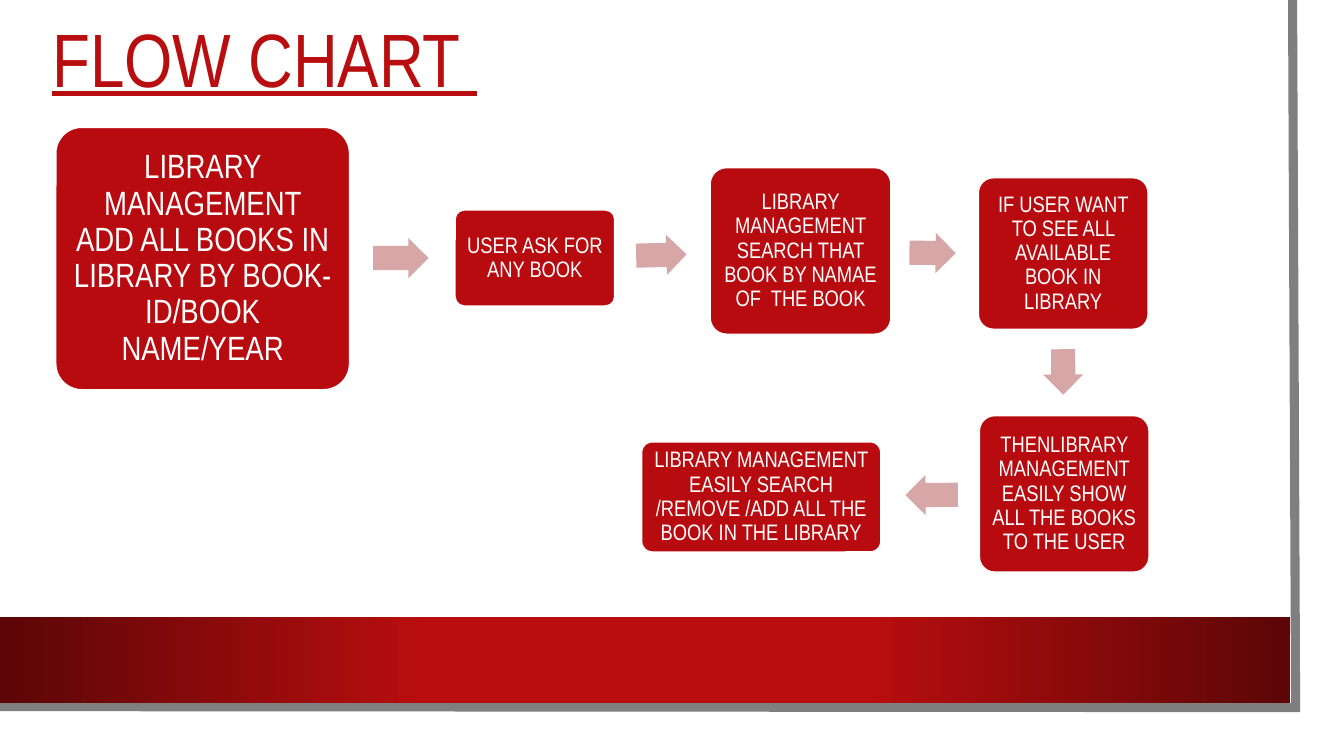
from lxml import etree
from pptx import Presentation
from pptx.dml.color import RGBColor
from pptx.enum.shapes import MSO_SHAPE
from pptx.enum.text import MSO_ANCHOR, PP_ALIGN
from pptx.oxml.ns import qn
from pptx.util import Emu, Pt

# Content: lengths in px, 100 px to the inch
FONT = "Arial Narrow"
COLORS = {"title": "B80E0F", "box": "B80B0F", "arrow": "D7A7A8", "white": "FFFFFF",
          "frame": "7F7F7F", "band": "B80E0F", "band_edge": "5C0607"}
TITLE = ("FLOW CHART ", (42, 0, 1137, 126), 54)
FRAME = [(1282, 0), (1285, 702), (-3, 701)]
BAND = (0, 612, 1280, 85)
BAND_STOPS = [(0, "band_edge"), (33, "band"), (67, "band"), (100, "band_edge")]

# Text, place, font size, inset
STEPS = [
    ("LIBRARY MANAGEMENT ADD ALL BOOKS IN LIBRARY BY BOOK-ID/BOOK NAME/YEAR",
     (55, 126, 292, 261), 24, 10),
    ("USER ASK FOR ANY BOOK", (451, 208, 159, 96), 16, 7),
    ("LIBRARY MANAGEMENT SEARCH THAT BOOK BY NAMAE OF  THE BOOK",
     (704, 166, 180, 166), 16, 7),
    ("IF USER WANT TO SEE ALL AVAILABLE BOOK IN LIBRARY",
     (970, 176, 169, 151), 16, 7),
    ("THENLIBRARY MANAGEMENT EASILY SHOW ALL THE BOOKS TO THE USER",
     (971, 412, 169, 156), 16, 7),
    ("LIBRARY MANAGEMENT EASILY SEARCH /REMOVE /ADD ALL THE BOOK IN THE LIBRARY",
     (636, 438, 238, 110), 16, 7),
]
# Left, top, width, rotation
ARROWS = [(370, 236, 55, 359.9), (631, 233, 50, 358.5), (902, 231, 46, 0.7),
          (1032, 349, 45, 89.7), (898, 471, 52, 179.6)]
ARROW_HEIGHT = 40


def px(length):
    return Emu(length * 9144)


def color(name):
    return RGBColor.from_string(COLORS[name])


def add_preset(kind, place, fill):
    shape = page.shapes.add_shape(kind, *map(px, place))
    shape.shadow.inherit = False
    shape.fill.solid()
    shape.fill.fore_color.rgb = color(fill)
    shape.line.fill.background()
    return shape


def set_text(shape, text, size, ink, align, inset_x, inset_y):
    frame = shape.text_frame
    frame.text = text
    frame.word_wrap = True
    frame.vertical_anchor = MSO_ANCHOR.MIDDLE
    frame.margin_left = frame.margin_right = px(inset_x)
    frame.margin_top = frame.margin_bottom = px(inset_y)
    para = frame.paragraphs[0]
    para.alignment = align
    para.line_spacing = 0.9
    span = para.runs[0]
    span.font.name = FONT
    span.font.size = Pt(size)
    span.font.color.rgb = color(ink)
    return span


deck = Presentation()
deck.slide_width, deck.slide_height = px(1333), px(750)
page = deck.slides.add_slide(deck.slide_layouts[6])

# Grey frame along the right and bottom edges
builder = page.shapes.build_freeform(*FRAME[0], scale=9144)
builder.add_line_segments(FRAME[1:], close=False)
border = builder.convert_to_shape()
border.shadow.inherit = False
border.fill.background()
border.line.color.rgb = color("frame")
border.line.width = Pt(6.5)
etree.SubElement(border.line._get_or_add_ln(), qn("a:miter"), lim="800000")

# Red band, darker towards both ends
band = add_preset(MSO_SHAPE.RECTANGLE, BAND, "band")
band.fill.gradient()
band.fill.gradient_angle = 0
stop_list = band._element.spPr.find(qn("a:gradFill")).find(qn("a:gsLst"))
for old_stop in list(stop_list):
    stop_list.remove(old_stop)
for percent, name in BAND_STOPS:
    stop = etree.SubElement(stop_list, qn("a:gs"), pos=str(percent * 1000))
    etree.SubElement(stop, qn("a:srgbClr"), val=COLORS[name])

# Title
text, place, size = TITLE
title = page.shapes.add_textbox(*map(px, place))
set_text(title, text, size, "title", PP_ALIGN.LEFT, 10, 5).font.underline = True

# Steps of the flow
for text, place, size, inset in STEPS:
    box = add_preset(MSO_SHAPE.ROUNDED_RECTANGLE, place, "box")
    box.adjustments[0] = 0.1
    box.line.color.rgb = color("white")
    box.line.width = Pt(1.5)
    set_text(box, text, size, "white", PP_ALIGN.CENTER, inset, inset)

# Arrows between the steps
for left, top, width, rotation in ARROWS:
    arrow = add_preset(MSO_SHAPE.RIGHT_ARROW, (left, top, width, ARROW_HEIGHT), "arrow")
    arrow.adjustments[0] = 0.6
    arrow.adjustments[1] = 0.5
    arrow.rotation = rotation

deck.save("out.pptx")
